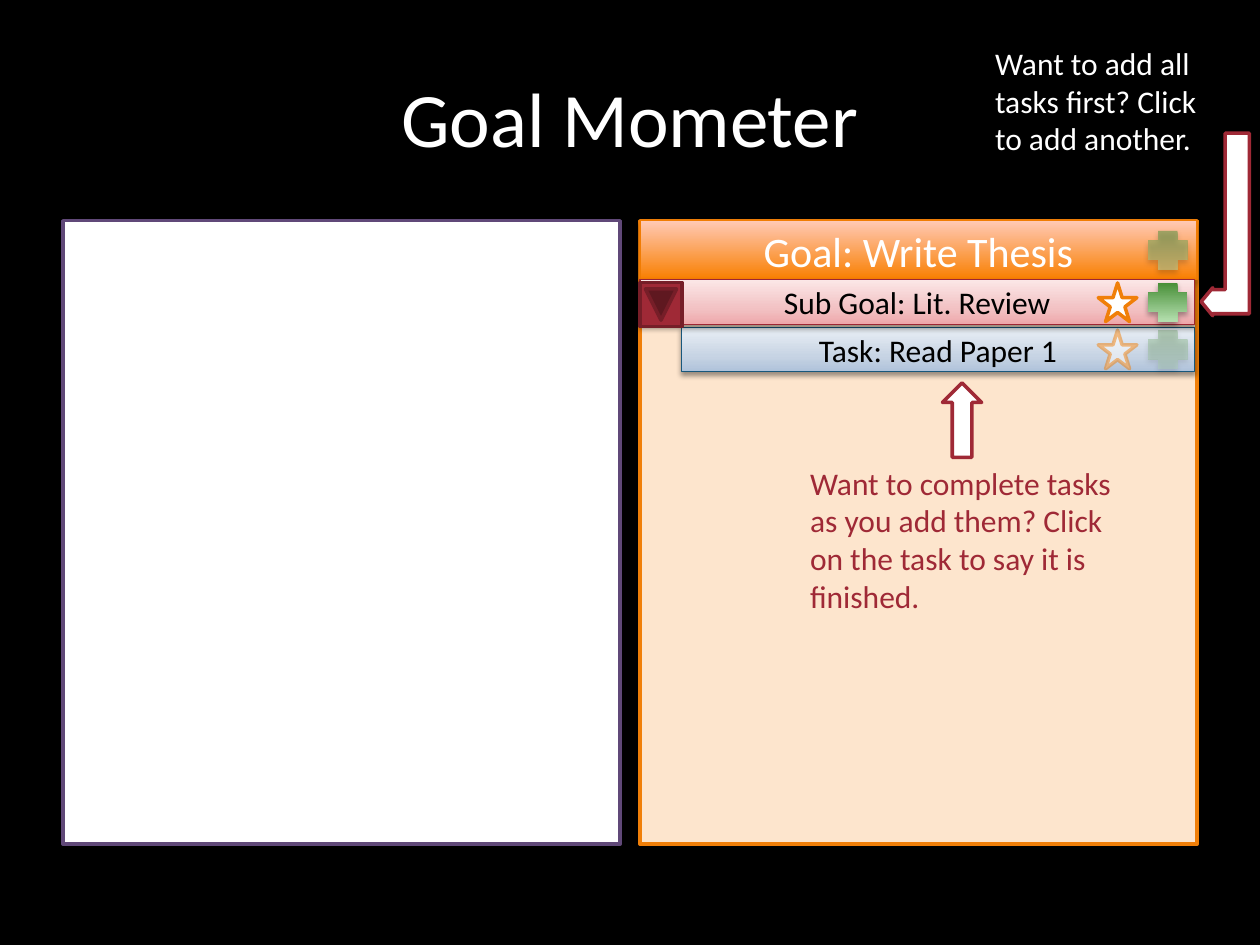
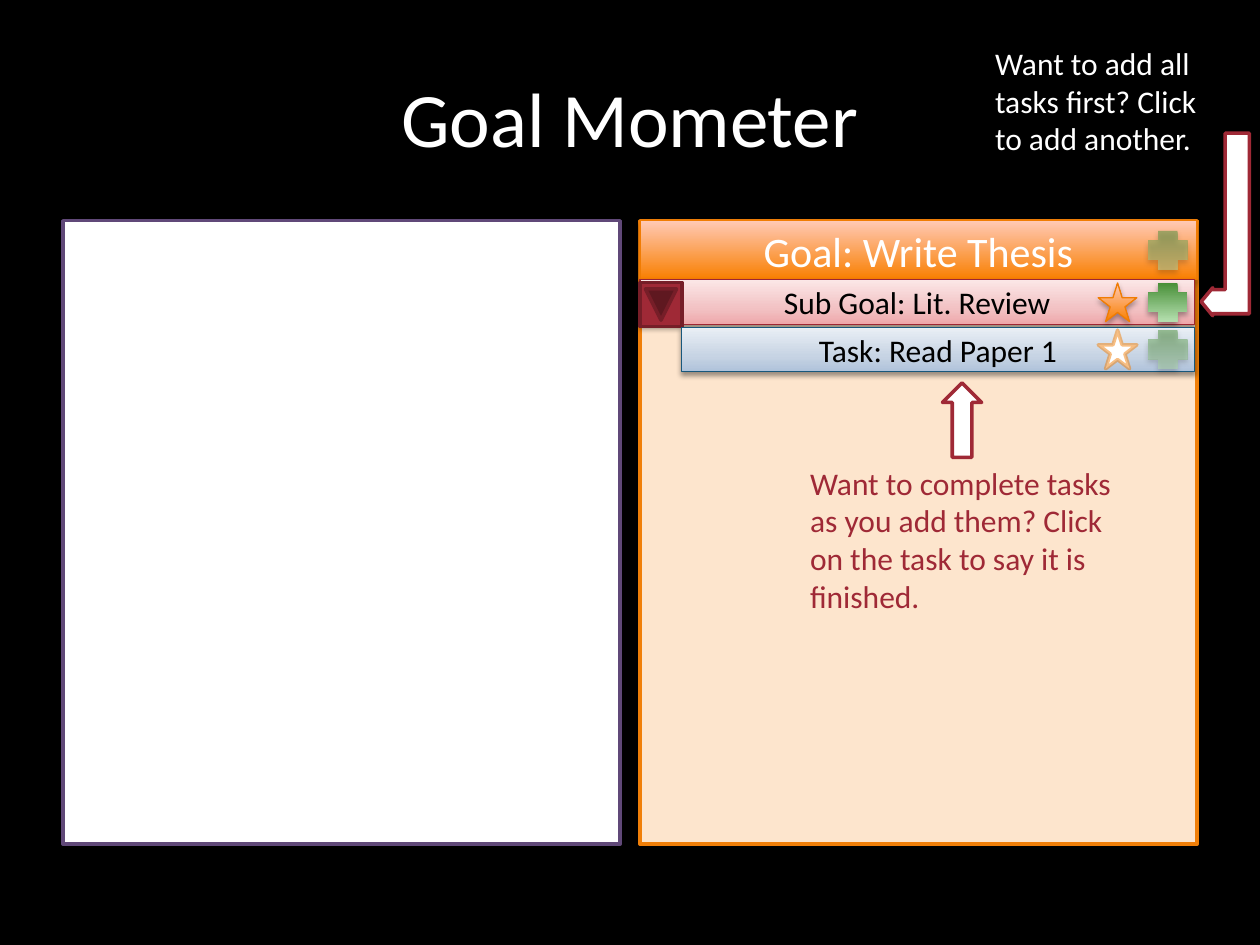
from dataclasses import dataclass
from lxml.etree import SubElement
from pptx import Presentation
from pptx.dml.color import RGBColor
from pptx.enum.shapes import MSO_SHAPE as Form
from pptx.enum.text import MSO_ANCHOR as Anchor, PP_ALIGN as Align
from pptx.oxml.ns import qn
from pptx.util import Cm, Pt


@dataclass(frozen=True)
class Theme:
    font: str = "Calibri"
    black: str = "000000"
    white: str = "FFFFFF"
    red: str = "9F2936"
    maroon: str = "761E28"
    purple: str = "604878"
    orange: str = "F07F09"
    peach: str = "FDE5CD"
    sunset: tuple = ((0, "F97F00"), (100, "FFC9B5"))
    rose: tuple = ((0, "EEA6A9"), (35, "F2C1C3"), (100, "FBE7E7"))
    sky: tuple = ((0, "AFC2DA"), (35, "C7D4E4"), (100, "EAEFF5"))
    leaf: tuple = ((0, "488F38"), (100, "B5DFAF"))
    title: int = 44
    head: int = 24
    body: int = 18
    bold: float = 2
    thin: float = 0.75


T = Theme()

# Content
TITLE = "Goal Mometer"
TIPS = [  # text, colour, box in cm
    ("Want to complete tasks as you add them? Click on the task to say it is finished.",
     T.red, (16.08, 9.22, 6.83, 3.33)),
    ("Want to add all tasks first? Click to add another.",
     T.white, (19.81, 0.76, 5.21, 2.57)),
]
ROWS = {  # left indent, right inset, top, height in cm
    "goal": dict(text="Goal: Write Thesis", place=(0, 0, 4.45, 1.19), paint=T.sunset,
                 edge="F07C03", size=T.head, ink=T.white, shade=(35, 1.8)),
    "sub": dict(text="Sub Goal: Lit. Review", place=(0, 0.05, 5.64, 0.91), paint=T.rose,
                edge="9E2533", size=T.body, ink=T.black, shade=(38, 1.6)),
    "task": dict(text="Task: Read Paper 1", place=(0.84, 0.05, 6.6, 0.89), paint=T.sky,
                 edge="18577C", size=T.body, ink=T.black, shade=(38, 1.6)),
}
STARS = {
    "open": dict(paint=T.white, edge=T.orange),
    "faint": dict(paint=T.white, edge=T.orange, alpha=50, fade=50),
    "pale": dict(paint=T.white, edge=T.orange, fade=50),
    "full": dict(paint=T.sunset, edge="F07C03", width=T.thin, shade=(35, 1.8)),
}
SLIDES = [  # row, strength of its plus, kind of star; from back to front
    [("goal", 50, None), ("task", 30, "faint"), ("sub", 100, "open")],
    [("goal", 50, None), ("sub", 100, "full"), ("task", 50, "pale")],
]

# Layout in cm
WIDE, HIGH = 25.4, 19.05
EDGE, GAP, TOP, TALL = 1.27, 0.4, 4.45, 12.57
PANEL = (WIDE - 2 * EDGE - GAP) / 2
RIGHT = EDGE + PANEL + GAP
ICON, PLUS_X, STAR_X = 0.78, 23.15, 22.14


def apply(thing, look):
    for name, value in look.items():
        setattr(thing, name, value)


def veil(clr, alpha):
    """Make a colour element see-through; alpha is its opacity in percent."""
    if alpha < 100:
        SubElement(clr, qn("a:alpha"), val=str(alpha * 1000))


def tint(parent, rgb, alpha):
    veil(SubElement(parent, qn("a:srgbClr"), val=rgb), alpha)


def fill(shape, paint, alpha):
    """Fill with one colour, or with a gradient that runs from bottom to top."""
    props = shape.element.spPr
    if isinstance(paint, str):
        shape.fill.solid()
        shape.fill.fore_color.rgb = RGBColor.from_string(paint)
        veil(props.find(qn("a:solidFill"))[0], alpha)
        return
    shape.fill.gradient()
    shape.fill.gradient_angle = 90
    stops = props.find(qn("a:gradFill")).find(qn("a:gsLst"))
    for stop in list(stops):
        stops.remove(stop)
    for pos, rgb in paint:
        tint(SubElement(stops, qn("a:gs"), pos=str(pos * 1000)), rgb, alpha)


def draw(slide, form, box, paint, edge=None, width=T.bold, alpha=100, fade=100,
         shade=None, flip=False, turn=0, bends=()):
    shape = slide.shapes.add_shape(form, *map(Cm, box))
    fill(shape, paint, alpha)
    if edge:
        shape.line.color.rgb = RGBColor.from_string(edge)
        shape.line.width = Pt(width)
        veil(shape.line._ln.find(qn("a:solidFill"))[0], fade)
    else:
        shape.line.fill.background()
    shape.shadow.inherit = False
    if shade:
        depth, drop = shade
        cast = SubElement(shape.element.spPr.find(qn("a:effectLst")), qn("a:outerShdw"),
                          blurRad=str(Pt(3.1)), dist=str(Pt(drop)),
                          dir="5400000", rotWithShape="0")
        tint(cast, T.black, depth)
    if flip:
        shape.element.spPr.xfrm.set("flipV", "1")
    shape.rotation = turn
    for spot, bend in enumerate(bends):
        shape.adjustments[spot] = bend
    return shape


def write(shape, text, size, ink, align=Align.CENTER, anchor=Anchor.MIDDLE):
    frame = shape.text_frame
    apply(frame, dict(text=text, word_wrap=True, vertical_anchor=anchor))
    para = frame.paragraphs[0]
    para.alignment = align
    font = para.runs[0].font
    apply(font, dict(name=T.font, size=Pt(size)))
    font.color.rgb = RGBColor.from_string(ink)


def label(slide, box, *words):
    write(slide.shapes.add_textbox(*map(Cm, box)), *words)


def add_row(slide, name, power, star):
    """Draw one bar of the goal list with its icons centred on it."""
    row = ROWS[name]
    indent, inset, top, tall = row["place"]
    box = (RIGHT + indent, top, PANEL - indent - inset, tall)
    bar = draw(slide, Form.RECTANGLE, box, row["paint"], row["edge"], T.thin,
               shade=row["shade"])
    write(bar, row["text"], row["size"], row["ink"])
    mid = top + (tall - ICON) / 2
    draw(slide, Form.CROSS, (PLUS_X, mid, ICON, ICON), T.leaf, alpha=power,
         shade=(35, 1.8), flip=True)
    if star:
        draw(slide, Form.STAR_5_POINT, (STAR_X, mid, ICON, ICON), **STARS[star])
    if name == "sub":
        draw(slide, Form.ACTION_BUTTON_FORWARD_OR_NEXT, (12.88, 5.72, 0.89, 0.84),
             T.red, T.maroon, turn=90)


def add_slide(deck, rows):
    slide = deck.slides.add_slide(deck.slide_layouts[6])
    draw(slide, Form.RECTANGLE, (EDGE, TOP, PANEL, TALL), T.white, T.purple)
    label(slide, (EDGE, 0.76, WIDE - 2 * EDGE, 3.18), TITLE, T.title, T.white)
    draw(slide, Form.RECTANGLE, (RIGHT, TOP, PANEL, TALL), T.peach, T.orange)
    for row in rows:
        add_row(slide, *row)
    for text, ink, box in TIPS:
        label(slide, box, text, T.body, ink, Align.LEFT, Anchor.TOP)
    draw(slide, Form.DOWN_ARROW, (19, 7.72, 0.79, 1.5), T.white, T.red, flip=True)
    draw(slide, Form.BENT_UP_ARROW, (22.86, 4.04, 3.68, 0.97), T.white, T.red,
         flip=True, turn=90, bends=(0.5, 0.29, 0.24))


def main():
    deck = Presentation()
    apply(deck, dict(slide_width=Cm(WIDE), slide_height=Cm(HIGH)))
    back = deck.slide_master.background.fill
    back.solid()
    back.fore_color.rgb = RGBColor.from_string(T.black)
    for rows in SLIDES:
        add_slide(deck, rows)
    deck.save("out.pptx")


if __name__ == "__main__":
    main()
